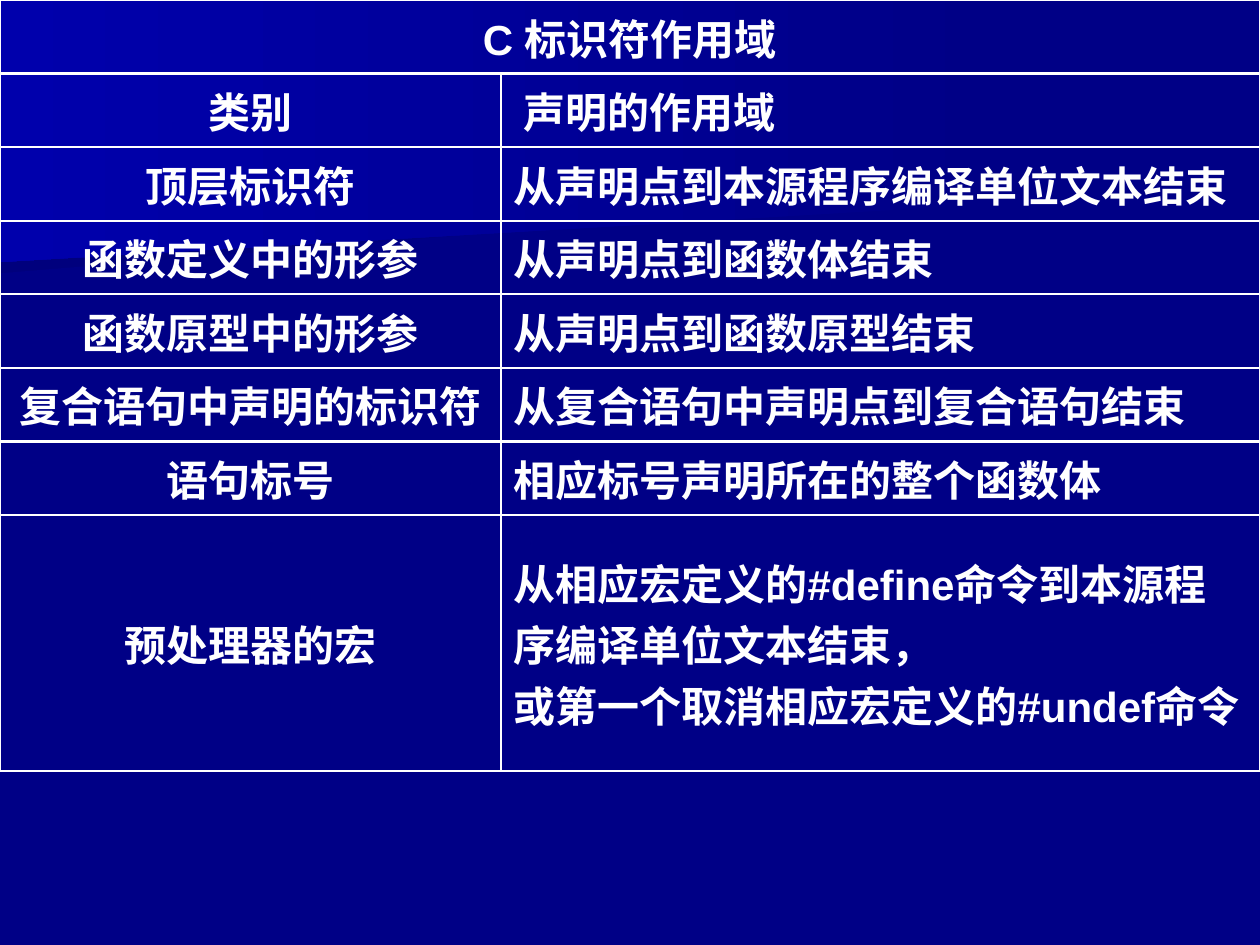
from dataclasses import dataclass

from lxml.etree import SubElement
from pptx import Presentation
from pptx.dml.color import RGBColor
from pptx.enum.text import MSO_ANCHOR, PP_ALIGN
from pptx.oxml.ns import qn
from pptx.util import Emu, Pt

EMU_PER_PX = 914400 / 126
SLIDE_SIZE = (1260, 945)


def px(length):
    return Emu(round(length * EMU_PER_PX))


@dataclass(frozen=True)
class Theme:
    background: str = "000086"
    lower_glow: str = "00007D"
    upper_glow: str = "0000AC"
    text: str = "FFFFFF"
    border: str = "FFFFFF"
    border_width: float = 1.47
    font: str = "Arial"
    text_size: int = 24


def write_text(frame, text, *, theme, align=PP_ALIGN.LEFT):
    """Fill a text frame, one paragraph per line of text."""
    frame.text = text
    for paragraph in frame.paragraphs:
        paragraph.alignment = align
        for run in paragraph.runs:
            run.font.name = theme.font
            run.font.size = Pt(theme.text_size)
            run.font.bold = True
            run.font.color.rgb = RGBColor.from_string(theme.text)


@dataclass
class SlideBuilder:
    slide: object
    theme: Theme

    def background(self):
        fill = self.slide.background.fill
        fill.solid()
        fill.fore_color.rgb = RGBColor.from_string(self.theme.background)

    def glow(self, points, left_color):
        """Draw a polygon that fades from left_color into the background."""
        builder = self.slide.shapes.build_freeform(*points[0], scale=EMU_PER_PX)
        builder.add_line_segments(points[1:], close=True)
        band = builder.convert_to_shape()
        band.shadow.inherit = False
        band.line.fill.background()
        band.fill.gradient()
        band.fill.gradient_angle = 180
        colors = (self.theme.background, left_color)
        for position, (stop, color) in enumerate(zip(band.fill.gradient_stops, colors)):
            stop.position = position
            stop.color.rgb = RGBColor.from_string(color)

    def cell_borders(self, cell):
        properties = cell._tc.get_or_add_tcPr()
        for index, side in enumerate(("lnL", "lnR", "lnT", "lnB")):
            line = properties.makeelement(qn(f"a:{side}"), {"w": str(Pt(self.theme.border_width))})
            properties.insert(index, line)
            SubElement(SubElement(line, qn("a:solidFill")), qn("a:srgbClr"), val=self.theme.border)

    def table(self, title, rows, widths, heights, total_height):
        """Add a table with a merged title row; the first column is centred."""
        frame = self.slide.shapes.add_table(
            len(heights), len(widths), px(0), px(0), px(sum(widths)), px(total_height))
        table = frame.table
        table.first_row = table.horz_banding = False
        for column, width in zip(table.columns, widths):
            column.width = px(width)
        for row, height in zip(table.rows, heights):
            row.height = px(height)
        frame.height = px(total_height)
        table.cell(0, 0).merge(table.cell(0, len(widths) - 1))
        for row, texts in enumerate([(title, ""), *rows]):
            for column, text in enumerate(texts):
                cell = table.cell(row, column)
                cell.fill.background()
                cell.vertical_anchor = MSO_ANCHOR.MIDDLE
                self.cell_borders(cell)
                if not cell.is_spanned:
                    write_text(cell.text_frame, text, theme=self.theme,
                               align=PP_ALIGN.LEFT if column else PP_ALIGN.CENTER)


SCOPES = [
    ("类别", " 声明的作用域"),
    ("顶层标识符", "从声明点到本源程序编译单位文本结束"),
    ("函数定义中的形参", "从声明点到函数体结束"),
    ("函数原型中的形参", "从声明点到函数原型结束"),
    ("复合语句中声明的标识符", "从复合语句中声明点到复合语句结束"),
    ("语句标号", "相应标号声明所在的整个函数体"),
    ("预处理器的宏",
     "从相应宏定义的#define命令到本源程序编译单位文本结束，\n"
     "或第一个取消相应宏定义的#undef命令"),
]


def main():
    presentation = Presentation()
    presentation.slide_width, presentation.slide_height = map(px, SLIDE_SIZE)
    theme = Theme()
    page = SlideBuilder(presentation.slides.add_slide(presentation.slide_layouts[6]), theme)
    page.background()
    page.glow([(980, 193), (0, 273), (0, 127), (982, 127), (980, 161)], theme.lower_glow)
    page.glow([(998, 204), (0, 262), (0, 0), (998, 0)], theme.upper_glow)
    page.table("C 标识符作用域", SCOPES, widths=(501, 759),
               heights=[63] + [66] * 6 + [214], total_height=711)
    presentation.save("out.pptx")


if __name__ == "__main__":
    main()
